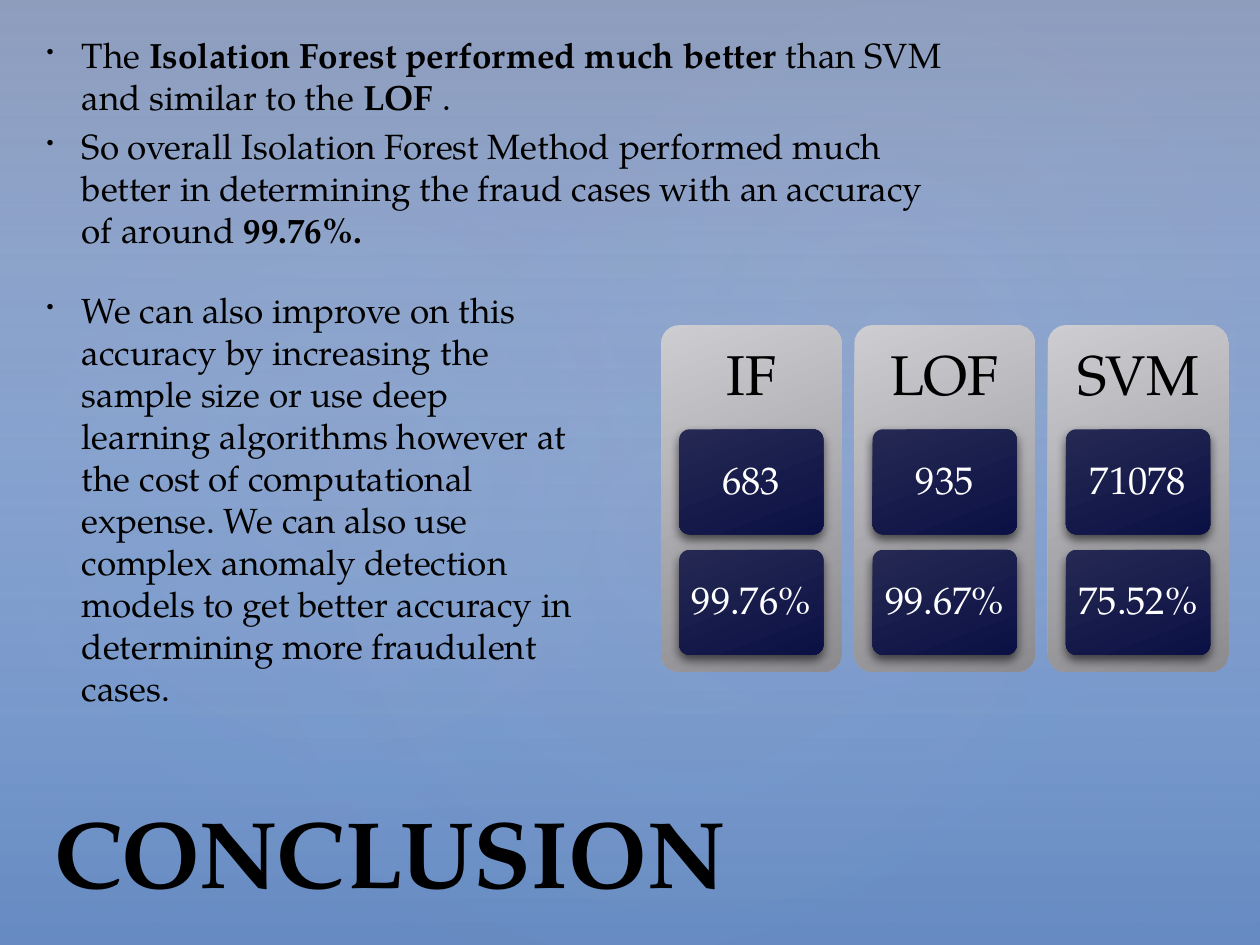
import pptx
import pptx.util
import pptx.dml.color
import pptx.enum.shapes
import pptx.enum.text
import pptx.oxml
import pptx.oxml.ns

Pt = pptx.util.Pt
SHAPE = pptx.enum.shapes.MSO_SHAPE
ANCHOR = pptx.enum.text.MSO_ANCHOR
ALIGN = pptx.enum.text.PP_ALIGN
FONT = "TeX Gyre Pagella"
COLORS = {
    "sky": "B1CEF9", "deep": "5F84BC", "dusk": "504652", "haze": "ACCBF9",
    "glow": "C4BCC6", "silver": "CDCDD1", "gray": "8B8B90",
    "navy": "242852", "midnight": "0C1145", "black": "000000", "white": "FFFFFF",
}

# Content
TITLE = "CONCLUSION"
FINDINGS = [  # paragraphs of (text, bold)
    [("The ", False), ("Isolation Forest performed much better ", True),
     ("than SVM and similar to the ", False), ("LOF ", True), (".", False)],
    [("So overall Isolation Forest Method performed much better in determining "
      "the fraud cases with an accuracy of around ", False), ("99.76%.", True)],
]
OUTLOOK = [
    [("We can also improve on this accuracy by increasing the sample size or use "
      "deep learning algorithms however at the cost of computational expense. "
      "We can also use complex anomaly detection models to get better accuracy "
      "in determining more fraudulent cases.", False)],
]
RESULTS = [("IF", ["683", "99.76%"]), ("LOF", ["935", "99.67%"]),
           ("SVM", ["71078", "75.52%"])]

# Layout
SLIDE_SIZE = (720, 540)
GLOWS = [  # left, top, width, height, rotation, opacity
    (108, 82, 570, 449, 328.7, 7),
    (-21.6, 92.2, 436.3, 352.8, 294.3, 8),
    (257.8, 9.4, 510.5, 374.4, 328.7, 8),
]
CARD_LEFT, CARD_TOP, CARD_WIDTH, CARD_HEIGHT, CARD_STEP = 377.8, 185.8, 103.1, 198.2, 110.5
HEAD_HEIGHT = 59.4
TILE_TOP, TILE_WIDTH, TILE_HEIGHT, TILE_STEP = 245.3, 82.5, 60, 68.9


def xml(markup):
    return pptx.oxml.parse_xml(markup.replace(">", f" {pptx.oxml.ns.nsdecls('a')}>", 1))


def set_gradient(fill, owner, stops, angle=None):
    """Fill with (position, color, opacity) stops; circular when angle is None."""
    fill.gradient()
    old = owner.find(".//" + pptx.oxml.ns.qn("a:gradFill"))
    marks = "".join(
        f'<a:gs pos="{position * 1000}"><a:srgbClr val="{COLORS[color]}">'
        f'<a:alpha val="{opacity * 1000}"/></a:srgbClr></a:gs>'
        for position, color, opacity in stops)
    if angle is None:
        way = ('<a:path path="circle"><a:fillToRect l="50000" t="50000" '
               'r="50000" b="50000"/></a:path>')
    else:
        way = f'<a:lin ang="{angle * 60000}" scaled="0"/>'
    old.getparent().replace(
        old, xml(f'<a:gradFill rotWithShape="1"><a:gsLst>{marks}</a:gsLst>{way}</a:gradFill>'))


def add_panel(parent, kind, bounds, stops, angle=None):
    shape = parent.shapes.add_shape(kind, *map(Pt, bounds))
    shape.shadow.inherit = False
    shape.line.fill.background()
    set_gradient(shape.fill, shape._element.spPr, stops, angle)
    if kind == SHAPE.ROUNDED_RECTANGLE:
        shape.adjustments[0] = 0.1
    return shape


def set_margins(frame, side, end):
    frame.margin_left = frame.margin_right = Pt(side)
    frame.margin_top = frame.margin_bottom = Pt(end)


def style(font, size, color, bold=False):
    font.name, font.size, font.bold = FONT, Pt(size), bold
    font.color.rgb = pptx.dml.color.RGBColor.from_string(COLORS[color])


def write_label(shape, text, size, color):
    frame = shape.text_frame
    frame.word_wrap = True
    frame.vertical_anchor = ANCHOR.MIDDLE
    frame.text = text
    para = frame.paragraphs[0]
    para.alignment = ALIGN.CENTER
    para.line_spacing = 0.9
    style(para.runs[0].font, size, color)


def add_bullets(page, bounds, paragraphs):
    frame = page.shapes.add_textbox(*map(Pt, bounds)).text_frame
    frame.word_wrap = True
    frame.vertical_anchor = ANCHOR.MIDDLE
    for index, pieces in enumerate(paragraphs):
        para = frame.add_paragraph() if index else frame.paragraphs[0]
        para.space_before = Pt(4)
        properties = para._p.get_or_add_pPr()
        properties.set("marL", str(Pt(21.6)))
        properties.set("indent", str(Pt(-20)))
        properties.append(xml('<a:buSzPct val="60000"/>'.replace("/>", "></a:buSzPct>")))
        properties.append(xml('<a:buChar char="•"></a:buChar>'))
        for text, bold in pieces:
            span = para.add_run()
            span.text = text
            style(span.font, 20, "black", bold)


def add_card(group, left, name, values):
    add_panel(group, SHAPE.ROUNDED_RECTANGLE, (left, CARD_TOP, CARD_WIDTH, CARD_HEIGHT),
              [(0, "silver", 100), (100, "gray", 100)], 69)
    head = group.shapes.add_textbox(*map(Pt, (left, CARD_TOP, CARD_WIDTH, HEAD_HEIGHT)))
    write_label(head, name, 32, "black")
    set_margins(head.text_frame, 9.6, 9.6)
    tile_left = left + (CARD_WIDTH - TILE_WIDTH) / 2
    for row, value in enumerate(values):
        tile = add_panel(group, SHAPE.ROUNDED_RECTANGLE,
                         (tile_left, TILE_TOP + row * TILE_STEP, TILE_WIDTH, TILE_HEIGHT),
                         [(0, "navy", 100), (100, "midnight", 100)], 69)
        effects = tile._element.spPr.find(pptx.oxml.ns.qn("a:effectLst"))
        effects.append(xml(
            f'<a:outerShdw blurRad="{Pt(6)}" dist="{Pt(3)}" dir="5400000" rotWithShape="0">'
            f'<a:srgbClr val="{COLORS["black"]}"><a:alpha val="60000"/></a:srgbClr>'
            '</a:outerShdw>'))
        write_label(tile, value, 22, "white")
        set_margins(tile.text_frame, 4, 4)


def main():
    deck = pptx.Presentation()
    deck.slide_width, deck.slide_height = map(Pt, SLIDE_SIZE)
    page = deck.slides.add_slide(deck.slide_layouts[6])

    # Background with soft glows
    set_gradient(page.background.fill, page._element,
                 [(0, "sky", 100), (100, "deep", 100)], 90)
    add_panel(page, SHAPE.RECTANGLE, (0, 0, *SLIDE_SIZE),
              [(0, "dusk", 36), (100, "haze", 10)], 90)
    for *bounds, rotation, opacity in GLOWS:
        glow = add_panel(page, SHAPE.OVAL, bounds,
                         [(0, "glow", opacity), (58, "haze", 0)])
        glow.rotation = rotation

    # Result cards
    group = page.shapes.add_group_shape()
    for column, (name, values) in enumerate(RESULTS):
        add_card(group, CARD_LEFT + column * CARD_STEP, name, values)

    # Title and text
    frame = page.shapes.add_textbox(*map(Pt, (24, 450, 594, 72))).text_frame
    frame.word_wrap = True
    frame.vertical_anchor = ANCHOR.BOTTOM
    frame.text = TITLE
    style(frame.paragraphs[0].runs[0].font, 54, "black", True)
    add_bullets(page, (18, 18, 528, 126), FINDINGS)
    add_bullets(page, (18, 144, 324, 282), OUTLOOK)

    deck.save("out.pptx")


if __name__ == "__main__":
    main()
